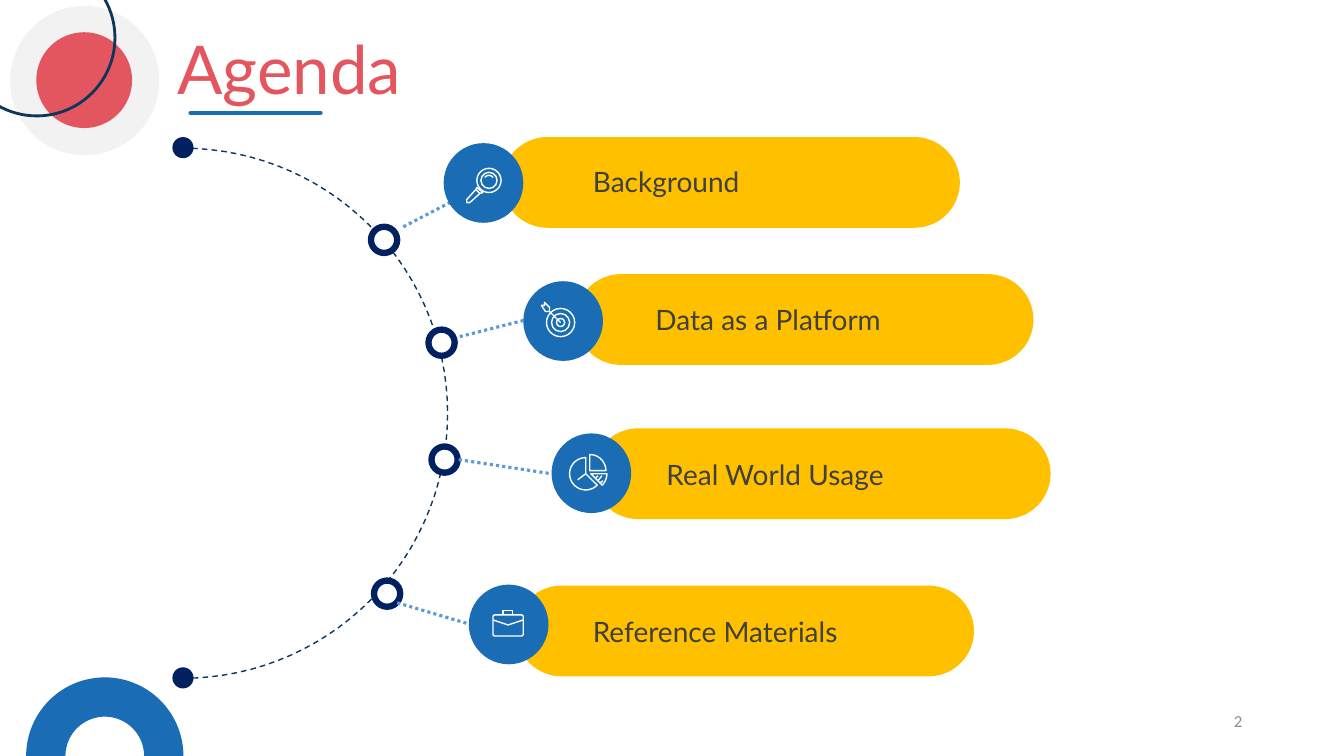
import math

import lxml.etree
import pptx
import pptx.dml.color
import pptx.enum.dml
import pptx.enum.shapes
import pptx.enum.text
import pptx.oxml.ns
import pptx.util

Inches = pptx.util.Inches
Shape = pptx.enum.shapes.MSO_SHAPE
Dash = pptx.enum.dml.MSO_LINE
Anchor = pptx.enum.text.MSO_ANCHOR
Align = pptx.enum.text.PP_ALIGN

BLUE, NAVY, INK, RED = "1A6DB4", "002060", "0D365A", "E3565F"
AMBER, SKY, WHITE, PALE = "FFC000", "5B9BD5", "FFFFFF", "F2F2F2"

deck = pptx.Presentation()
deck.slide_width, deck.slide_height = Inches(13.33), Inches(7.5)
shapes = deck.slides.add_slide(deck.slide_layouts[6]).shapes


def paint(shape, fill=None, line=None, width=1, dash=None):
    targets = [(shape.line.fill, line)]
    if hasattr(shape, "fill"):
        targets.insert(0, (shape.fill, fill))
    for target, colour in targets:
        if colour:
            target.solid()
            target.fore_color.rgb = pptx.dml.color.RGBColor.from_string(colour)
        else:
            target.background()
    if line:
        shape.line.width = pptx.util.Pt(width)
        if dash:
            shape.line.dash_style = dash
    lxml.etree.SubElement(shape.element.spPr, pptx.oxml.ns.qn("a:effectLst"))


def trace(pieces, closed, **look):
    points = []
    for x, y, *arc in pieces:
        if arc:
            radius, start, end = arc
            angles = [math.radians(start + (end - start) * i / 60) for i in range(61)]
            points += [(x + radius * math.cos(a), y + radius * math.sin(a)) for a in angles]
        else:
            points.append((x, y))
    points = [(Inches(x), Inches(y)) for x, y in points]
    builder = shapes.build_freeform(*points[0])
    builder.add_line_segments(points[1:], close=closed)
    paint(builder.convert_to_shape(), **look)


underline = shapes.add_connector(
    pptx.enum.shapes.MSO_CONNECTOR.STRAIGHT,
    Inches(1.89), Inches(1.12), Inches(3.18), Inches(1.12))
paint(underline, line=BLUE, width=3)
underline.line._get_or_add_ln().set("cap", "rnd")

trace([(1.04, 7.5, 0.78, 180, 360), (1.04, 7.5, 0.39, 360, 180)], True, fill=BLUE)
trace([(1.81, 4.1, 2.63, -90, 90)], False, line=INK, dash=Dash.DASH)

decor_circles = [
    (0.1, 0.06, 1.48, {"fill": PALE}),
    (0.36, 0.32, 0.95, {"fill": RED}),
    (-0.41, -0.4, 1.55, {"line": INK, "width": 2}),
    (1.71, 1.36, 0.21, {"fill": NAVY}),
    (1.71, 6.62, 0.21, {"fill": NAVY}),
]
for x, y, size, look in decor_circles:
    circle = shapes.add_shape(Shape.OVAL, Inches(x), Inches(y), Inches(size), Inches(size))
    paint(circle, **look)

topics = [
    ("Background", (5.88, 1.63, 1.51), (4.98, 1.36), (4.4, 1.42), (3.68, 2.25),
     (4, 2.25, 4.48, 2)),
    ("Data as a Platform", (6.5, 3, 2.28), (5.71, 2.72), (5.19, 2.79), (4.25, 3.27),
     (4.56, 3.34, 5.19, 3.18)),
    ("Real World Usage", (6.61, 4.54, 2.18), (5.88, 4.25), (5.47, 4.3), (4.28, 4.43),
     (4.55, 4.56, 5.47, 4.7)),
    ("Reference Materials", (5.88, 6.09, 2.49), (5.12, 5.81), (4.65, 5.8), (3.71, 5.76),
     (3.94, 5.98, 4.65, 6.19)),
]
texts = [
    ("Agenda", (1.66, 0.22, 2.55, 0.91), (48, "Lato", RED),
     {"word_wrap": False}, Align.LEFT),
    ("2", (9.42, 6.95, 3, 0.4), (12, "Calibri", "8C8C8C"),
     {"word_wrap": True, "vertical_anchor": Anchor.MIDDLE}, Align.RIGHT),
]
label_frame = {"word_wrap": False, "vertical_anchor": Anchor.MIDDLE, "margin_left": 0,
               "margin_right": 0, "margin_top": 0, "margin_bottom": 0}

for label, label_place, bar_place, badge_place, node_place, link_ends in topics:
    texts.append((label, (*label_place, 0.34), (20, "Lato", "404040"), label_frame, Align.LEFT))
    node = shapes.add_shape(
        Shape.OVAL, *map(Inches, node_place), Inches(0.26), Inches(0.26))
    paint(node, fill=WHITE, line=NAVY, width=4.5)
    link = shapes.add_connector(
        pptx.enum.shapes.MSO_CONNECTOR.STRAIGHT, *map(Inches, link_ends))
    paint(link, line=SKY, width=2.25, dash=Dash.ROUND_DOT)
    bar = shapes.add_shape(
        Shape.ROUNDED_RECTANGLE, *map(Inches, bar_place), Inches(4.54), Inches(0.9))
    bar.adjustments[0] = 0.5
    paint(bar, fill=AMBER)
    badge = shapes.add_shape(
        Shape.OVAL, *map(Inches, badge_place), Inches(0.79), Inches(0.79))
    paint(badge, fill=BLUE)

icon_rings = [(4.85, 1.79, 0.12), (4.85, 1.79, 0.08),
              (5.56, 3.2, 0.14), (5.56, 3.2, 0.09), (5.56, 3.2, 0.04)]
for x, y, radius in icon_rings:
    ring = shapes.add_shape(Shape.OVAL, Inches(x - radius), Inches(y - radius),
                            Inches(2 * radius), Inches(2 * radius))
    paint(ring, line=WHITE)

magnifier = [
    ([(4.85, 1.79, 0.05, 215, 325)], False),
    ([(4.73, 1.86), (4.72, 1.88), (4.63, 1.98), (4.63, 2.01), (4.66, 2.01),
      (4.76, 1.92), (4.79, 1.91)], True),
    ([(4.72, 1.88), (4.76, 1.92)], False),
]
dart = [
    ([(5.56, 3.2), (5.45, 3.09)], False),
    ([(5.37, 3.03), (5.4, 3.03), (5.4, 3), (5.45, 3.05), (5.45, 3.09), (5.41, 3.09)], True),
]
pie = [
    ([(5.85, 4.67), (5.85, 4.67, 0.16, -90, 0)], True),
    ([(5.86, 4.7), (5.86, 4.7, 0.16, 0, 45)], True),
    ([(5.81, 4.7), (5.81, 4.7, 0.16, 45, 270)], True),
    ([(5.81, 4.7), (5.73, 4.76)], False),
    ([(5.91, 4.74), (5.93, 4.72)], False),
    ([(5.93, 4.77), (5.97, 4.72)], False),
    ([(5.95, 4.79), (5.98, 4.77)], False),
]
briefcase = [
    ([(4.91, 6.12, 0.02, 180, 270), (5.17, 6.12, 0.02, 270, 360),
      (5.17, 6.29, 0.02, 0, 90), (4.91, 6.29, 0.02, 90, 180)], True),
    ([(4.99, 6.1), (4.99, 6.06), (5.08, 6.06), (5.08, 6.1)], False),
    ([(4.89, 6.15), (5.04, 6.2), (5.19, 6.15)], False),
]
for pieces, closed in magnifier + dart + pie + briefcase:
    trace(pieces, closed, line=WHITE)

for text, place, (size, face, colour), frame_format, align in texts:
    box = shapes.add_textbox(*map(Inches, place))
    for name, value in frame_format.items():
        setattr(box.text_frame, name, value)
    para = box.text_frame.paragraphs[0]
    para.alignment = align
    span = para.add_run()
    span.text = text
    for name, value in {"size": pptx.util.Pt(size), "name": face}.items():
        setattr(span.font, name, value)
    span.font.color.rgb = pptx.dml.color.RGBColor.from_string(colour)

deck.save("out.pptx")
